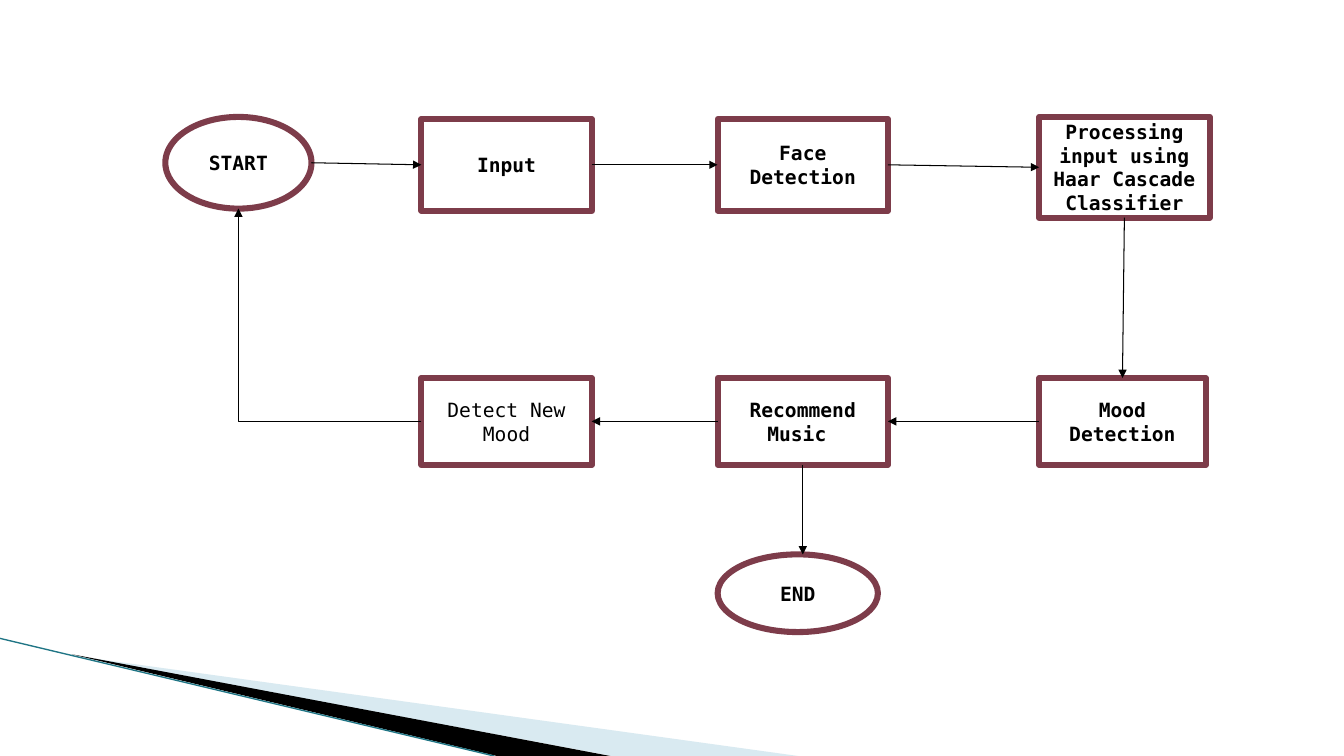
from dataclasses import dataclass
from lxml.etree import SubElement
from pptx import Presentation
from pptx.dml.color import RGBColor as RGB
from pptx.enum.shapes import MSO_CONNECTOR as CONN, MSO_SHAPE as SHAPE
from pptx.enum.text import MSO_ANCHOR as ANCHOR, PP_ALIGN as ALIGN
from pptx.oxml.ns import qn
from pptx.util import Pt


@dataclass(frozen=True)
class Theme:
    font: str = "DejaVu Sans Mono"
    size: float = 14
    ink: RGB = RGB(0, 0, 0)
    paper: RGB = RGB(255, 255, 255)
    border: RGB = RGB(0x7D, 0x3C, 0x4A)
    pale: RGB = RGB(0xA0, 0xCB, 0xDC)
    teal: RGB = RGB(0x1F, 0x75, 0x85)
    border_width: float = 4.33
    arrow_width: float = 0.75
    edge_width: float = 0.95


THEME = Theme()
TOP, LEFT, BOTTOM, RIGHT = range(4)
START_X, INPUT_X, FACE_X, HAAR_X = 118.1, 301, 512.6, 742.3
UPPER_Y, LOWER_Y = 85, 270
BOX_W, UPPER_H, LOWER_H = 121.7, 65.5, 62


def add_node(slide, kind, x, y, w, h, *lines, bold=True):
    sp = slide.shapes.add_shape(kind, Pt(x), Pt(y), Pt(w), Pt(h))
    sp.shadow.inherit = False
    sp.fill.solid()
    sp.fill.fore_color.rgb = THEME.paper
    sp.line.color.rgb = THEME.border
    sp.line.width = Pt(THEME.border_width)
    tf = sp.text_frame
    tf.word_wrap = True
    tf.vertical_anchor = ANCHOR.MIDDLE
    for i, line in enumerate(lines):
        p = tf.add_paragraph() if i else tf.paragraphs[0]
        p.alignment = ALIGN.CENTER
        r = p.add_run()
        r.text = line
        r.font.name = THEME.font
        r.font.size = Pt(THEME.size)
        r.font.bold = bold
        r.font.color.rgb = THEME.ink
    return sp


def add_line(slide, kind, begin, end, color, width):
    cx = slide.shapes.add_connector(kind, *map(Pt, begin + end))
    cx.line.color.rgb = color
    cx.line.width = Pt(width)
    SubElement(cx._element.spPr, qn("a:effectLst"))
    return cx


def add_arrow(slide, begin=(0, 0), end=(0, 0), source=None, target=None, kind=CONN.STRAIGHT):
    cx = add_line(slide, kind, begin, end, THEME.ink, THEME.arrow_width)
    SubElement(cx.line._get_or_add_ln(), qn("a:tailEnd"), type="triangle")
    if source:
        cx.begin_connect(*source)
    if target:
        cx.end_connect(*target)
    return cx


def add_band(slide, points, color, opacity=100):
    start, *rest = [tuple(map(Pt, point)) for point in points]
    builder = slide.shapes.build_freeform(*start)
    builder.add_line_segments(rest, close=True)
    sp = builder.convert_to_shape()
    sp.shadow.inherit = False
    sp.fill.solid()
    sp.fill.fore_color.rgb = color
    sp.line.fill.background()
    if opacity < 100:
        clr = sp._element.spPr.find(qn("a:solidFill"))[0]
        SubElement(clr, qn("a:alpha"), val=str(opacity * 1000))


def add_corner(slide):
    add_band(slide, [(52.6, 468.4), (570, 540), (437, 540)], THEME.pale, 40)
    add_band(slide, [(51.1, 467.3), (436, 540), (355, 540)], THEME.ink)
    add_line(slide, CONN.STRAIGHT, (0, 456), (353, 540), THEME.teal, THEME.edge_width)


def add_flow(slide):
    start = add_node(slide, SHAPE.OVAL, START_X, 83.5, 104.4, 65.5, "START")
    capture = add_node(slide, SHAPE.RECTANGLE, INPUT_X, UPPER_Y, BOX_W, UPPER_H, "Input")
    face = add_node(slide, SHAPE.RECTANGLE, FACE_X, UPPER_Y, BOX_W, UPPER_H, "Face Detection")
    haar = add_node(slide, SHAPE.RECTANGLE, HAAR_X, 83.5, BOX_W, 72,
                    "Processing input using", "Haar Cascade Classifier")
    mood = add_node(slide, SHAPE.RECTANGLE, HAAR_X, LOWER_Y, 119, LOWER_H, "Mood Detection")
    music = add_node(slide, SHAPE.RECTANGLE, FACE_X, LOWER_Y, BOX_W, LOWER_H, "Recommend Music ")
    again = add_node(slide, SHAPE.RECTANGLE, INPUT_X, LOWER_Y, BOX_W, LOWER_H,
                     "Detect New Mood", bold=False)
    add_node(slide, SHAPE.OVAL, FACE_X, 396, 114.5, 55.5, "END")

    start_right = (START_X + 104.4, 116.25)
    add_arrow(slide, begin=start_right, target=(capture, LEFT))
    for source, side, target, entry in [
        (capture, RIGHT, face, LEFT),
        (face, RIGHT, haar, LEFT),
        (haar, BOTTOM, mood, TOP),
        (mood, LEFT, music, RIGHT),
        (music, LEFT, again, RIGHT),
    ]:
        add_arrow(slide, source=(source, side), target=(target, entry))
    add_arrow(slide, end=(FACE_X + BOX_W / 2, 396), source=(music, BOTTOM))
    start_bottom = ((start.left + start.width / 2) / Pt(1), 149)
    loop = add_arrow(slide, (INPUT_X, LOWER_Y + LOWER_H / 2), start_bottom, kind=CONN.ELBOW)
    loop._element.spPr.find(qn("a:prstGeom")).set("prst", "bentConnector2")


def main():
    prs = Presentation()
    prs.slide_width, prs.slide_height = Pt(960), Pt(540)
    slide = prs.slides.add_slide(prs.slide_layouts[6])
    add_corner(slide)
    add_flow(slide)
    prs.save("out.pptx")


if __name__ == "__main__":
    main()
